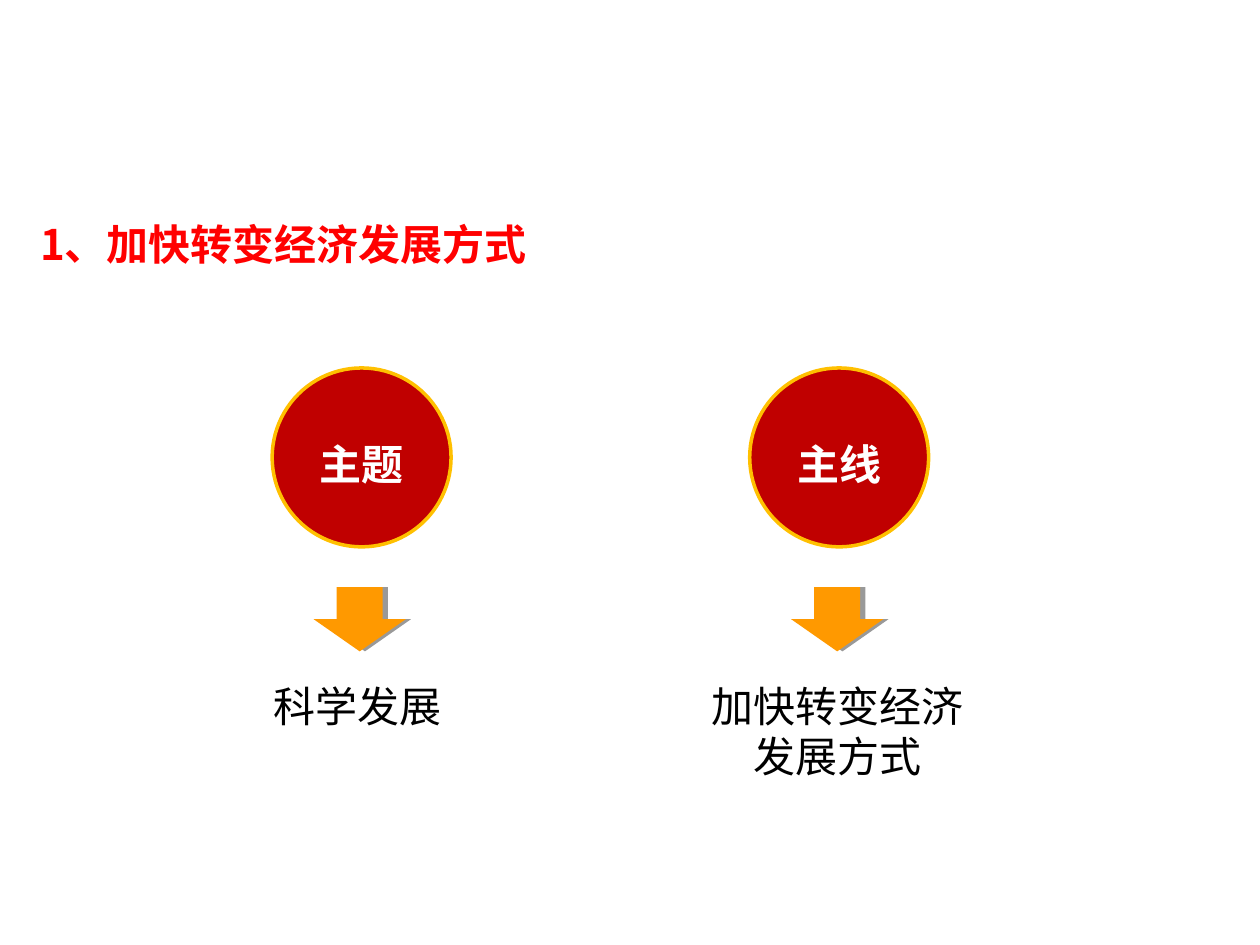
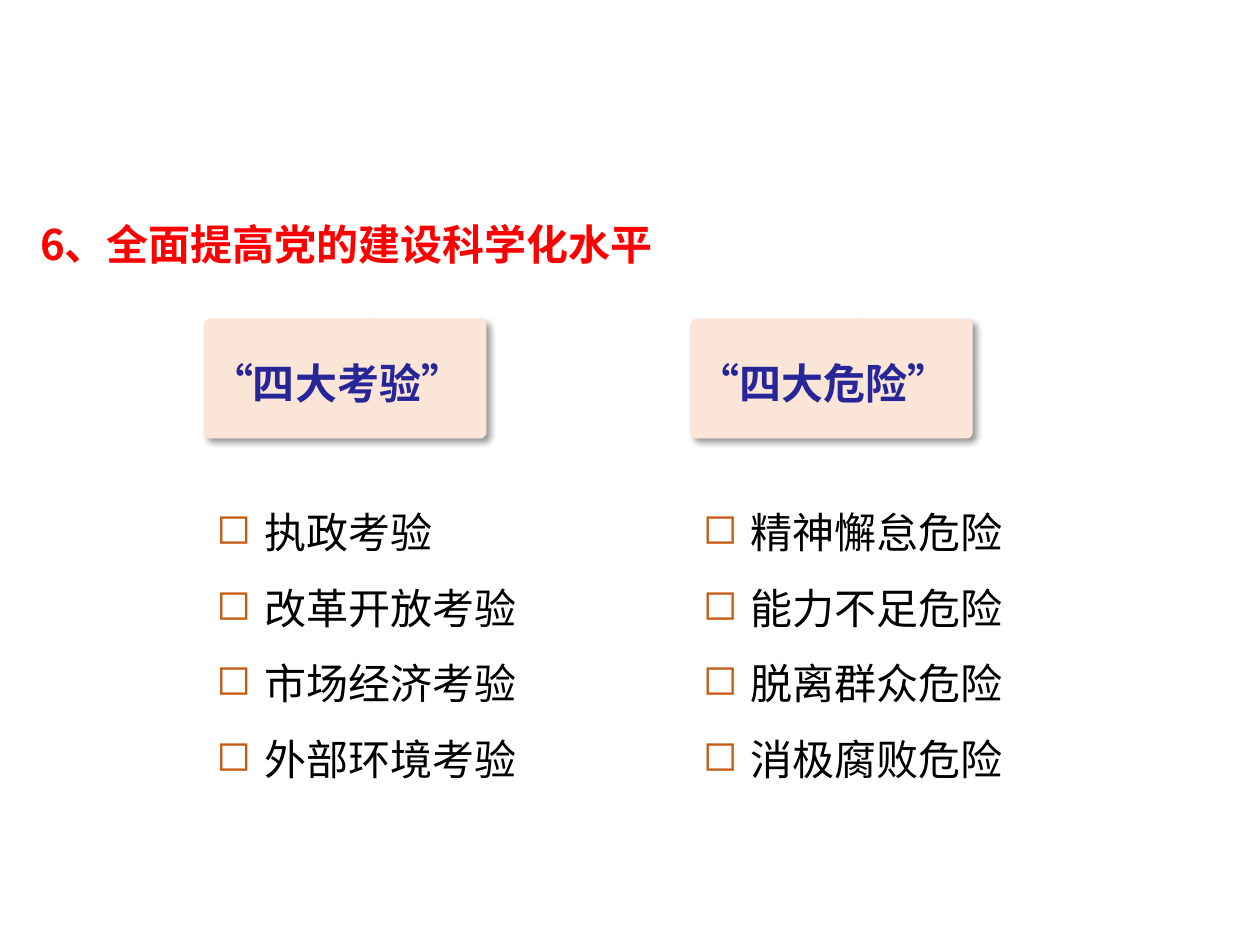
from lxml import etree
from pptx import Presentation
from pptx.dml.color import RGBColor
from pptx.enum.shapes import MSO_SHAPE
from pptx.enum.text import MSO_ANCHOR, PP_ALIGN
from pptx.oxml.ns import qn
from pptx.util import Inches, Pt

OVAL = MSO_SHAPE.OVAL
DOWN_ARROW = MSO_SHAPE.DOWN_ARROW
ROUNDED = MSO_SHAPE.ROUNDED_RECTANGLE
TOP, BOTTOM = MSO_ANCHOR.TOP, MSO_ANCHOR.BOTTOM
LEFT, CENTER = PP_ALIGN.LEFT, PP_ALIGN.CENTER

HEADING_FONT = "Noto Sans CJK SC"
BODY_FONT = "Arial"
TEXT_SIZE = 24
TITLE_RED = "FF0000"
CIRCLE_RED = "C00000"
GOLD = "FFC000"
ORANGE = "FF9900"
PEACH = "FBE5D6"
NAVY = "262699"
BULLET_BROWN = "C55A11"
WHITE = "FFFFFF"
BLACK = "000000"


def color(hex_value):
    return RGBColor.from_string(hex_value)


def add_element(parent, tag, **attributes):
    element = etree.SubElement(parent, qn(tag))
    for name, value in attributes.items():
        element.set(name, str(value))
    return element


def add_text(page, area, lines, text_color=BLACK, heading=False, align=LEFT,
             spacing=1.0, anchor=TOP, bullet=None):
    """Put lines in a box as paragraphs; headings are bold."""
    frame = page.shapes.add_textbox(*map(Inches, area)).text_frame
    frame.word_wrap = True
    frame.vertical_anchor = anchor
    frame.text = "\n".join(lines)
    for paragraph in frame.paragraphs:
        paragraph.alignment = align
        paragraph.line_spacing = spacing
        if bullet:
            add_bullet(paragraph, bullet)
        for run in paragraph.runs:
            run.font.size = Pt(TEXT_SIZE)
            run.font.bold = heading
            run.font.color.rgb = color(text_color)
            run.font.name = HEADING_FONT if heading else BODY_FONT
            add_element(run.font._element, "a:ea", typeface=HEADING_FONT)


def add_bullet(paragraph, character):
    properties = paragraph._p.get_or_add_pPr()
    indent = Inches(0.38)
    properties.set("marL", str(indent))
    properties.set("indent", str(-indent))
    bullet_color = add_element(properties, "a:buClr")
    add_element(bullet_color, "a:srgbClr", val=BULLET_BROWN)
    add_element(properties, "a:buChar", char=character)


def add_filled_shape(page, kind, area, fill, outline=None):
    shape = page.shapes.add_shape(kind, *map(Inches, area))
    shape.shadow.inherit = False
    shape.fill.solid()
    shape.fill.fore_color.rgb = color(fill)
    if outline:
        shape.line.color.rgb = color(outline)
        shape.line.width = Pt(2)
    else:
        shape.line.fill.background()
    return shape


def add_shadow(shape, blur, angle):
    """Cast a 40% black shadow, 3 pt away; blur in points, angle in degrees."""
    effects = shape._element.spPr.find(qn("a:effectLst"))
    shadow = add_element(effects, "a:outerShdw", blurRad=Pt(blur), dist=Pt(3),
                         dir=angle * 60000, algn="tl", rotWithShape=0)
    shade = add_element(shadow, "a:srgbClr", val=BLACK)
    add_element(shade, "a:alpha", val=40000)


def add_page(deck, title):
    page = deck.slides.add_slide(deck.slide_layouts[6])
    add_text(page, (0.22, 1.44, 9, 0.74), [title], TITLE_RED,
             heading=True, anchor=BOTTOM)
    return page


def add_circle_with_arrow(page, left, label):
    add_filled_shape(page, OVAL, (left, 2.92, 1.42, 1.42), CIRCLE_RED, GOLD)
    add_text(page, (left + 0.02, 3.35, 1.38, 0.54), [label], WHITE,
             heading=True, align=CENTER, spacing=1.2)
    arrow = add_filled_shape(page, DOWN_ARROW, (left + 0.33, 4.66, 0.73, 0.51), ORANGE)
    add_shadow(arrow, blur=0, angle=0)


def add_card_with_list(page, left, heading, items):
    card = add_filled_shape(page, ROUNDED, (left, 2.53, 2.24, 0.95), PEACH)
    card.adjustments[0] = 0.05
    add_shadow(card, blur=4, angle=45)
    add_text(page, (left - 0.13, 2.71, 2.37, 0.58), [heading], NAVY,
             heading=True, align=CENTER, spacing=1.2)
    add_text(page, (left, 3.77, 2.6, 2.52), items, spacing=1.5, bullet="◻")


def main():
    deck = Presentation()
    deck.slide_width, deck.slide_height = Inches(10), Inches(7.5)

    growth = add_page(deck, "1、加快转变经济发展方式")
    add_circle_with_arrow(growth, 2.16, "主题")
    add_text(growth, (2.07, 5.35, 1.92, 0.51), ["科学发展"])
    add_circle_with_arrow(growth, 5.95, "主线")
    add_text(growth, (5.48, 5.35, 2.33, 0.91), ["加快转变经济发展方式"], align=CENTER)

    party = add_page(deck, "6、全面提高党的建设科学化水平")
    add_card_with_list(party, 1.62, "“四大考验”",
                       ["执政考验", "改革开放考验", "市场经济考验", "外部环境考验"])
    add_card_with_list(party, 5.48, "“四大危险”",
                       ["精神懈怠危险", "能力不足危险", "脱离群众危险", "消极腐败危险"])

    deck.save("out.pptx")


if __name__ == "__main__":
    main()
